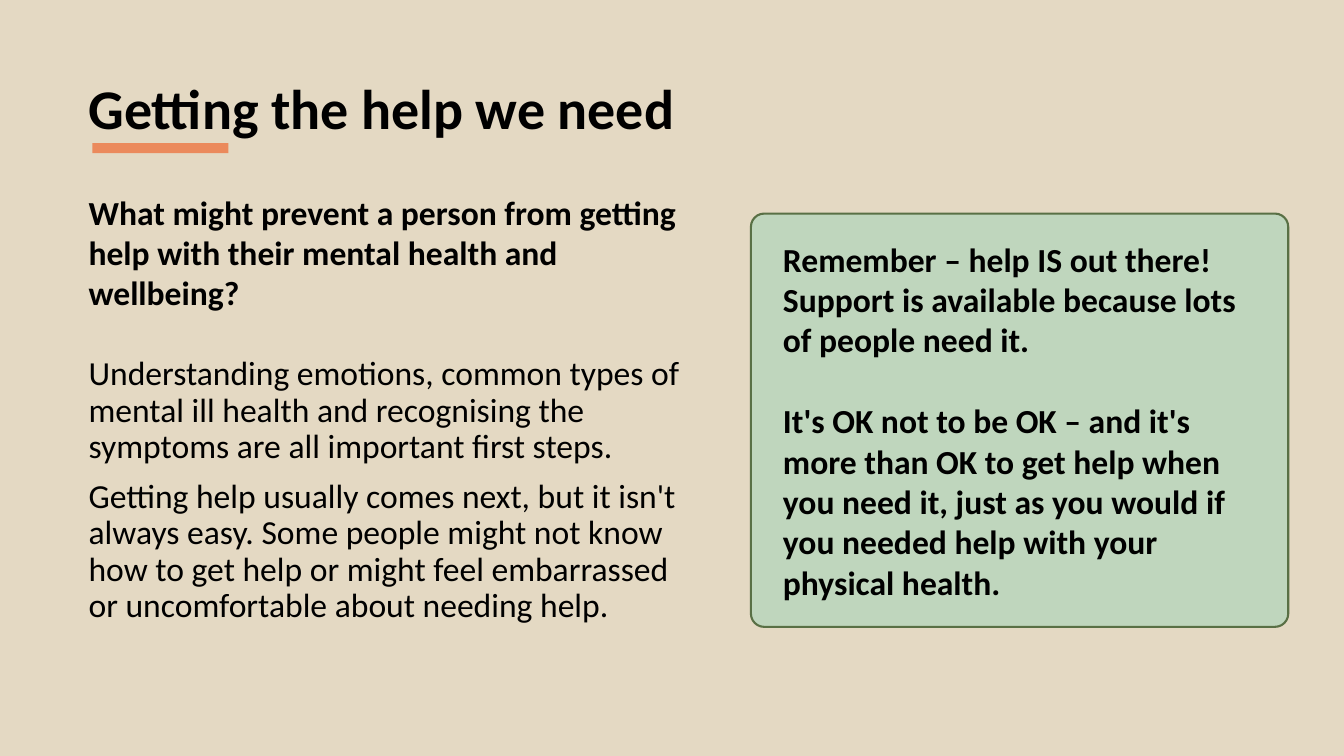
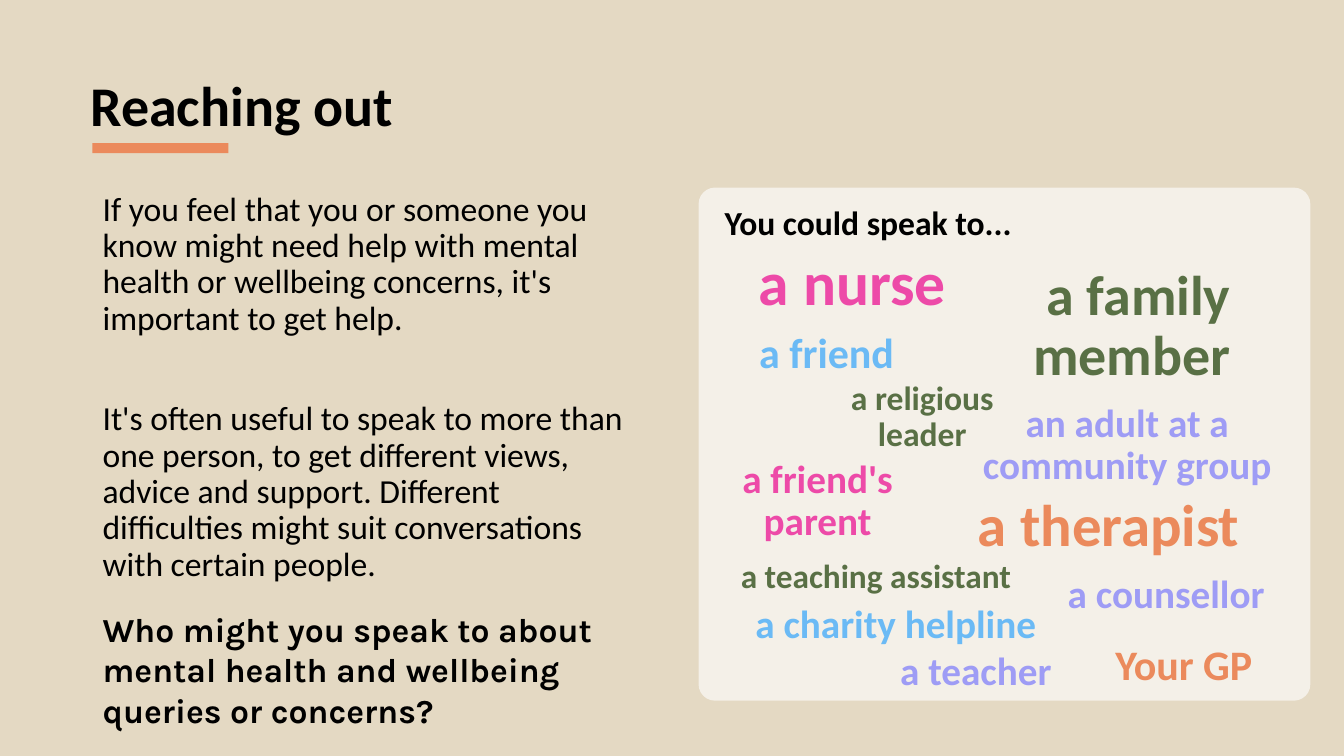
from collections import namedtuple

from lxml import etree
from pptx import Presentation
from pptx.dml.color import RGBColor
from pptx.enum.shapes import MSO_SHAPE
from pptx.enum.text import MSO_ANCHOR, PP_ALIGN
from pptx.oxml.ns import qn
from pptx.util import Pt

Box = namedtuple("Box", "left top width height")

COLOURS = {
    "sand": "E4D9C3", "black": "000000", "white": "FFFFFF", "mint": "BFD6BD",
    "green": "597045", "orange": "EB8A5C", "pink": "ED4AA8",
    "violet": "9E9CF5", "blue": "6BBAF5",
}
BODY = {"line_spacing": 0.9}
BOLD = {"bold": True}
WORD = {"bold": True, "line_spacing": 0.9, "alignment": PP_ALIGN.CENTER}
FONT_DEFAULTS = {"name": "Calibri", "size": Pt(24), "bold": False}


def colour(name):
    return RGBColor.from_string(COLOURS[name])


def inside(outer, left, top, width, height):
    """Place a box relative to the corner of another."""
    return Box(outer.left + left, outer.top + top, width, height)


def in_points(box):
    return [Pt(length) for length in box]


def add_block(page, box, fill, line=None, rounding=None, opacity=None):
    kind = MSO_SHAPE.RECTANGLE if rounding is None else MSO_SHAPE.ROUNDED_RECTANGLE
    block = page.shapes.add_shape(kind, *in_points(box))
    block.shadow.inherit = False
    if rounding is not None:
        block.adjustments[0] = rounding
    block.fill.solid()
    block.fill.fore_color.rgb = colour(fill)
    if opacity is not None:
        tint = block.fill._xPr.find(".//" + qn("a:srgbClr"))
        etree.SubElement(tint, qn("a:alpha")).set("val", str(opacity * 1000))
    if line:
        block.line.color.rgb = colour(line)
        block.line.width = Pt(1.5)
    else:
        block.line.fill.background()


def add_text(page, box, paragraphs, formats, ink="black", anchor=MSO_ANCHOR.TOP):
    """Write (text, space before) pairs in one box."""
    frame = page.shapes.add_textbox(*in_points(box)).text_frame
    frame.word_wrap = True
    frame.vertical_anchor = anchor
    for index, (text, gap) in enumerate(paragraphs):
        para = frame.paragraphs[0] if index == 0 else frame.add_paragraph()
        para.space_before = Pt(gap)
        span = para.add_run()
        span.text = text
        span.font.color.rgb = colour(ink)
        for key, value in {**FONT_DEFAULTS, **formats}.items():
            setattr(span.font if key in FONT_DEFAULTS else para, key, value)


def add_page(deck, title, title_box):
    """Background, title and accent bar shared by all slides."""
    page = deck.slides.add_slide(deck.slide_layouts[6])
    page.background.fill.solid()
    page.background.fill.fore_color.rgb = colour("sand")
    title_format = {"size": Pt(40), "bold": True, "line_spacing": 0.9}
    add_text(page, title_box, [(title, 0)], title_format, anchor=MSO_ANCHOR.MIDDLE)
    add_block(page, Box(66, 102.2, 97.2, 7.2), "orange")
    return page


def add_reminder(page, card):
    add_block(page, card, "mint", line="green", rounding=0.032)
    add_text(page, inside(card, 15.8, 14.4, 355, 269), [
        ("Remember – help IS out there!", 0),
        ("Support is available because lots of people need it.", 0),
        ("It's OK not to be OK – and it's more than OK to get help when you need it, "
         "just as you would if you needed help with your physical health.", 29),
    ], BOLD)


def add_word_cloud(page, panel):
    add_block(page, panel, "white", rounding=0.032, opacity=62)
    add_text(page, inside(panel, 11.5, 6.4, 420, 36), [("You could speak to...", 0)], BOLD)
    # Word, left, top, width, size, colour, format changes
    words = [
        ("a nurse", -19, 42.4, 258, 44, "pink", {}),
        ("a teacher", 103, 328.2, 190, 28, "violet", {}),
        ("an adult at a community group", 183.6, 150.4, 245, 28, "violet", {}),
        ("a family member", 217, 53.2, 170, 40, "green", {"alignment": PP_ALIGN.RIGHT}),
        ("a friend's parent", 11.5, 190.7, 147, 28, "pink", {}),
        ("Your GP", 265, 322.5, 163.4, 30, "orange", {}),
        ("a friend", 18, 100, 147, 30, "blue", {}),
        ("a religious leader", 80.6, 134.6, 158.4, 24, "green", {}),
        ("a charity helpline", 22.3, 294.4, 237, 28, "blue", {}),
        ("a teaching assistant", 8.6, 264.2, 236, 23.8, "green", {"line_spacing": 0.8}),
        ("a counsellor", 244, 272.8, 180, 28, "violet", {}),
        ("a therapist", 156.2, 216.6, 273.6, 42, "orange", {}),
    ]
    for text, left, top, width, size, ink, changes in words:
        word_box = inside(panel, left, top, width, 34)
        add_text(page, word_box, [(text, 0)], {**WORD, "size": Pt(size), **changes}, ink)


def build_help_page(deck):
    page = add_page(deck, "Getting the help we need", Box(56.2, 27.4, 515.5, 104.4))
    add_text(page, Box(56.2, 133.2, 448.6, 94.3), [
        ("What might prevent a person from getting help with their mental health "
         "and wellbeing?", 0),
    ], BOLD)
    add_text(page, Box(56.2, 251.3, 440.6, 231.8), [
        ("Understanding emotions, common types of mental ill health and recognising "
         "the symptoms are all important first steps.", 0),
        ("Getting help usually comes next, but it isn't always easy. Some people might "
         "not know how to get help or might feel embarrassed or uncomfortable about "
         "needing help.", 10),
    ], BODY)
    add_reminder(page, Box(536.4, 152.6, 383.8, 295.2))


def build_reaching_out_page(deck):
    page = add_page(deck, "Reaching out", Box(57.6, 25.2, 294.5, 104.4))
    column = Box(66.2, 133.9, 390.2, 297.4)
    add_text(page, column, [
        ("If you feel that you or someone you know might need help with mental health "
         "or wellbeing concerns, it's important to get help.", 0),
        ("It's often useful to speak to more than one person, to get different views, "
         "advice and support. Different difficulties might suit conversations with "
         "certain people.", 46),
    ], BODY)
    add_text(page, inside(column, 0, column.height, column.width, 94.3), [
        ("Who might you speak to about mental health and wellbeing queries or concerns?", 0),
    ], {**BOLD, "name": "Karla"})
    add_word_cloud(page, Box(499, 134, 437, 366.5))


def main():
    deck = Presentation()
    deck.slide_width, deck.slide_height = Pt(960), Pt(540)
    build_help_page(deck)
    build_reaching_out_page(deck)
    deck.save("out.pptx")


if __name__ == "__main__":
    main()
